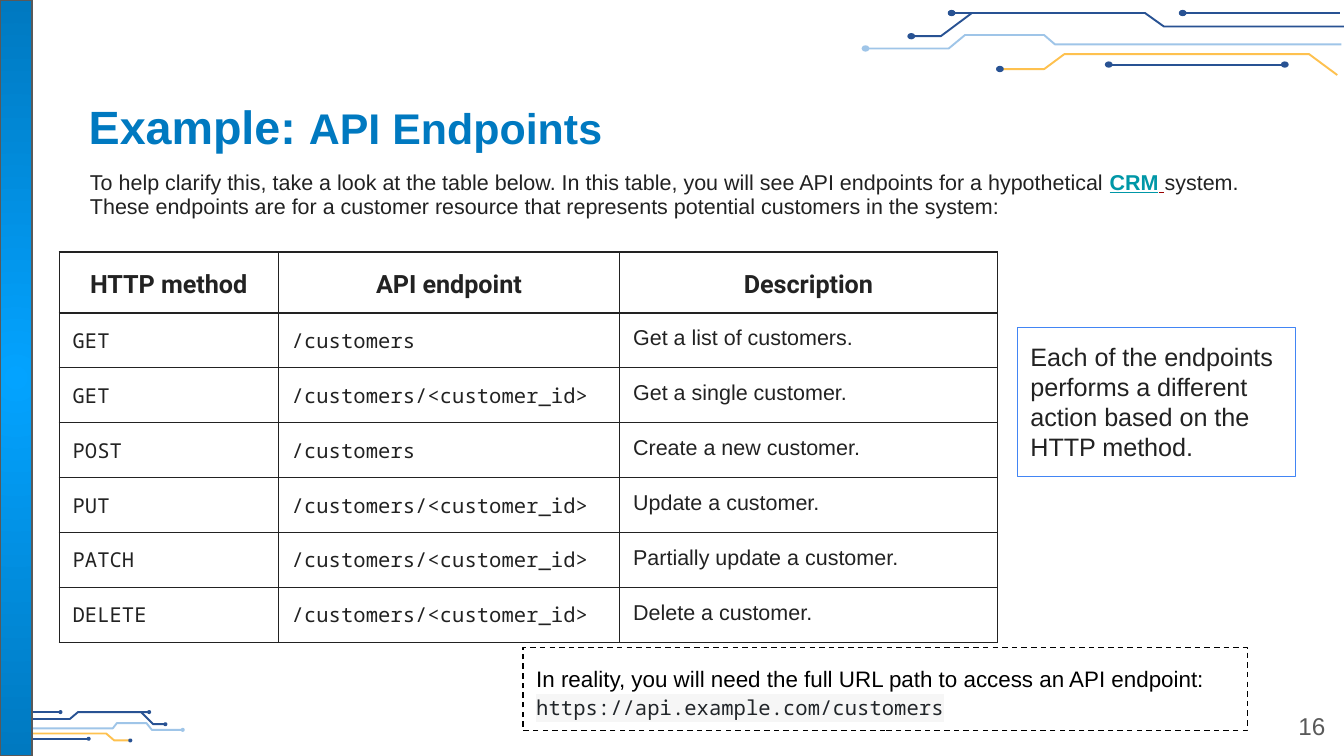
from lxml import etree
from pptx import Presentation
from pptx.dml.color import RGBColor
from pptx.enum import dml, shapes, text
from pptx.oxml import ns
from pptx.util import Pt

WHITE = RGBColor(0xFF, 0xFF, 0xFF)
BLACK = RGBColor(0, 0, 0)
INK = RGBColor(0x22, 0x22, 0x22)
CODE_INK = RGBColor(0x21, 0x25, 0x29)
CODE_BACK = RGBColor(0xF6, 0xF6, 0xF6)
GREY = RGBColor(0x59, 0x59, 0x59)
BLUE = RGBColor(0x00, 0x79, 0xC0)
BRIGHT = RGBColor(0x03, 0xA3, 0xFF)
NOTE_BLUE = RGBColor(0x42, 0x85, 0xF4)
TEAL = RGBColor(0x00, 0x97, 0xA7)
RED = RGBColor(0x99, 0x00, 0x00)
NAVY = RGBColor(0x28, 0x52, 0x93)
SKY = RGBColor(0x9F, 0xC5, 0xE8)
AMBER = RGBColor(0xFE, 0xC1, 0x4F)

MONO = "Noto Sans Mono"
INSET = Pt(7.2)

# Text runs: (text, font values)
PLAIN = dict(name="Arial", size=Pt(11.5), color=INK)
LINK = dict(PLAIN, bold=True, underline=True)
HEADING = dict(name="Arial", color=BLUE, bold=True)
TITLE = [("Example: ", dict(HEADING, size=Pt(25))),
         ("API Endpoints", dict(HEADING, size=Pt(23)))]
INTRO = [
    ("To help clarify this, take a look at the table below. In this table, you "
     "will see API endpoints for a hypothetical ", PLAIN),
    ("CRM", dict(LINK, color=TEAL)),
    (" ", dict(LINK, color=RED)),
    ("system. These endpoints are for a customer resource that represents "
     "potential customers in the system:", PLAIN),
]
NOTE = [("Each of the endpoints performs a different action based on the HTTP "
         "method.", dict(PLAIN, size=Pt(13.5)))]
URL_LEAD = [("In reality, you will need the full URL path to access an API endpoint:",
             dict(PLAIN, size=Pt(12), color=BLACK))]
URL = [("https://api.example.com/customers",
        dict(name=MONO, size=Pt(11), color=CODE_INK, highlight=CODE_BACK))]
PAGE = [("16", dict(PLAIN, size=Pt(13), color=GREY))]

HEADER = ("HTTP method", "API endpoint", "Description")
ENDPOINTS = [
    ("GET", "/customers", "Get a list of customers."),
    ("GET", "/customers/<customer_id>", "Get a single customer."),
    ("POST", "/customers", "Create a new customer."),
    ("PUT", "/customers/<customer_id>", "Update a customer."),
    ("PATCH", "/customers/<customer_id>", "Partially update a customer."),
    ("DELETE", "/customers/<customer_id>", "Delete a customer."),
]
HEAD_FONT = dict(name="Roboto", size=Pt(13.5), color=INK, bold=True)
CODE_FONT = dict(name=MONO, size=Pt(11), color=INK)
COLUMN_FONTS = (CODE_FONT, CODE_FONT, PLAIN)
COLUMN_WIDTHS = (117.4, 182.9, 202.3)
HEAD_HEIGHT, ROW_HEIGHT = 32.6, 29.3

# Circuit traces: (line colour, points, points that carry a dot, dot colour)
TOP_TRACES = [
    (NAVY, [(720, 14.2), (623.5, 14.2), (613.4, 7), (509.8, 7)], [-1], NAVY),
    (NAVY, [(520.6, 7), (504, 19.4), (488.2, 19.4)], [-1], NAVY),
    (NAVY, [(717.8, 7), (633.6, 7)], [-1], NAVY),
    (AMBER, [(716.4, 40.2), (701.3, 29), (570.2, 29), (559.4, 37), (535.7, 37)],
     [-1], NAVY),
    (NAVY, [(688.3, 34.6), (594, 34.6)], [0, -1], NAVY),
    (SKY, [(718.6, 23.8), (565.2, 23.8), (559.4, 18.8), (517, 18.8), (508.3, 26),
           (463.7, 26)], [-1], SKY),
]
BOTTOM_TRACES = [
    (NAVY, [(2.2, 385.2), (37.4, 385.2), (41.8, 381.5), (79.9, 381.5)], [-1], NAVY),
    (NAVY, [(75.6, 381.5), (82.1, 388), (88.6, 388)], [-1], NAVY),
    (NAVY, [(0, 381.5), (32.4, 381.5)], [-1], NAVY),
    (AMBER, [(0.7, 398.9), (6.5, 393), (56.9, 393), (61.2, 396.7), (69.8, 396.7)],
     [-1], NAVY),
    (NAVY, [(11.5, 395.8), (47.5, 395.8)], [0, -1], NAVY),
    (SKY, [(4.3, 390.2), (60.5, 390.2), (62.6, 387.4), (78.5, 387.4), (81.4, 391),
           (97.9, 391)], [-1], SKY),
]


def sub(parent, tag, **attrs):
    return etree.SubElement(parent, ns.qn(tag), attrs)


def box(*lengths):
    return [Pt(v) for v in lengths]


def add_runs(p, runs, **paragraph):
    for key, value in paragraph.items():
        setattr(p, key, value)
    for words, font in runs:
        r = p.add_run()
        r.text = words
        for key, value in font.items():
            if key == "color":
                r.font.color.rgb = value
            elif key != "highlight":
                setattr(r.font, key, value)
        if "highlight" in font:
            mark = etree.Element(ns.qn("a:highlight"))
            sub(mark, "a:srgbClr", val=str(font["highlight"]))
            r.font._element.find(ns.qn("a:solidFill")).addnext(mark)


def frame(sp, anchor=text.MSO_ANCHOR.TOP):
    tf = sp.text_frame
    values = dict(word_wrap=True, auto_size=text.MSO_AUTO_SIZE.NONE,
                  vertical_anchor=anchor, margin_left=INSET, margin_right=INSET,
                  margin_top=INSET, margin_bottom=INSET)
    for key, value in values.items():
        setattr(tf, key, value)
    return tf


def place(sp, *lengths):
    sp.left, sp.top, sp.width, sp.height = box(*lengths)


def add_shape(s, kind, bounds, line, fill=None):
    sp = s.shapes.add_shape(kind, *box(*bounds))
    sp.shadow.inherit = False
    sp.line.color.rgb = line
    sp.line.width = Pt(0.75)
    if fill is None:
        sp.fill.background()
    else:
        sp.fill.solid()
        sp.fill.fore_color.rgb = fill
    return sp


def add_trace(s, color, points, dots, dot_color, dot_width, dot_height):
    if len(points) == 2:
        sp = s.shapes.add_connector(shapes.MSO_CONNECTOR.STRAIGHT,
                                    *box(*points[0], *points[1]))
        sub(sp._element.spPr, "a:effectLst")
    else:
        path = [(round(x * 100), round(y * 100)) for x, y in points]
        builder = s.shapes.build_freeform(*path[0], scale=Pt(1) / 100)
        builder.add_line_segments(path[1:], close=False)
        sp = builder.convert_to_shape()
        sp.fill.background()
        sp.shadow.inherit = False
    sp.line.color.rgb = color
    sp.line.width = Pt(1.03)
    for i in dots:
        x, y = points[i]
        add_shape(s, shapes.MSO_SHAPE.OVAL,
                  (x - dot_width / 2, y - dot_height / 2, dot_width, dot_height),
                  dot_color, dot_color)


def style_cell(cell, words, font, top, bottom, **paragraph):
    tcPr = cell._tc.get_or_add_tcPr()
    for side, width in (("L", 0.75), ("R", 0.75), ("T", top), ("B", bottom)):
        ln = sub(tcPr, f"a:ln{side}", w=str(Pt(width)))
        sub(sub(ln, "a:solidFill"), "a:srgbClr", val=str(INK))
    cell.fill.solid()
    cell.fill.fore_color.rgb = WHITE
    for side in ("left", "right", "top", "bottom"):
        setattr(cell, f"margin_{side}", INSET)
    add_runs(cell.text_frame.paragraphs[0], [(words, font)], **paragraph)


prs = Presentation()
prs.slide_width, prs.slide_height = box(720, 405)
s = prs.slides.add_slide(prs.slide_layouts[1])

for trace in BOTTOM_TRACES:
    add_trace(s, *trace, 1.4, 1.4)
for trace in TOP_TRACES:
    add_trace(s, *trace, 3.4, 2.6)

bar = add_shape(s, shapes.MSO_SHAPE.RECTANGLE, (0, 0, 17.2, 405), GREY)
bar.fill.gradient()
for stop, color in zip(bar.fill.gradient_stops, (BRIGHT, BLUE)):
    stop.color.rgb = color
grad = bar._element.spPr.find(ns.qn("a:gradFill"))
grad.remove(grad.find(ns.qn("a:lin")))
sub(sub(grad, "a:path", path="circle"), "a:fillToRect",
    l="50000", t="50000", r="50000", b="50000")

title, body = s.placeholders
place(title, 40.3, 44.6, 671, 45.4)
add_runs(frame(title, text.MSO_ANCHOR.MIDDLE).paragraphs[0], TITLE,
         alignment=text.PP_ALIGN.LEFT)
place(body, 41, 84.2, 638, 44.6)
p = frame(body).paragraphs[0]
pPr = p._p.get_or_add_pPr()
pPr.set("marL", "0")
pPr.set("indent", "0")
sub(pPr, "a:buNone")
add_runs(p, INTRO, line_spacing=0.95, space_before=Pt(0), space_after=Pt(12))

rows = len(ENDPOINTS) + 1
table = s.shapes.add_table(
    rows, len(HEADER), *box(31.7, 135, sum(COLUMN_WIDTHS),
                            HEAD_HEIGHT + ROW_HEIGHT * len(ENDPOINTS))).table
table.first_row = table.horz_banding = False
for column, width in zip(table.columns, COLUMN_WIDTHS):
    column.width = Pt(width)
for i, row in enumerate(table.rows):
    row.height = Pt(ROW_HEIGHT if i else HEAD_HEIGHT)
for j, words in enumerate(HEADER):
    cell = table.cell(0, j)
    style_cell(cell, words, HEAD_FONT, 0.68, 1.36, line_spacing=1.15,
               alignment=text.PP_ALIGN.CENTER)
    cell.vertical_anchor = text.MSO_ANCHOR.BOTTOM
for i, endpoint in enumerate(ENDPOINTS, 1):
    for j, words in enumerate(endpoint):
        style_cell(table.cell(i, j), words, COLUMN_FONTS[j],
                   1.36 if i == 1 else 0.68, 0.75 if i == rows - 1 else 0.68)

note = add_shape(s, shapes.MSO_SHAPE.RECTANGLE, (545, 175.5, 149, 80), NOTE_BLUE)
add_runs(frame(note).paragraphs[0], NOTE, alignment=text.PP_ALIGN.LEFT)

url_box = add_shape(s, shapes.MSO_SHAPE.RECTANGLE, (280.2, 346.8, 388, 44.6), BLACK)
url_box.line.dash_style = dml.MSO_LINE.DASH
tf = frame(url_box)
for p, runs in ((tf.paragraphs[0], URL_LEAD), (tf.add_paragraph(), URL)):
    add_runs(p, runs, line_spacing=1.15, alignment=text.PP_ALIGN.LEFT)

page = s.shapes.add_textbox(*box(673.9, 373.7, 43.2, 31))
add_runs(frame(page).paragraphs[0], PAGE, alignment=text.PP_ALIGN.RIGHT)

prs.save("out.pptx")
